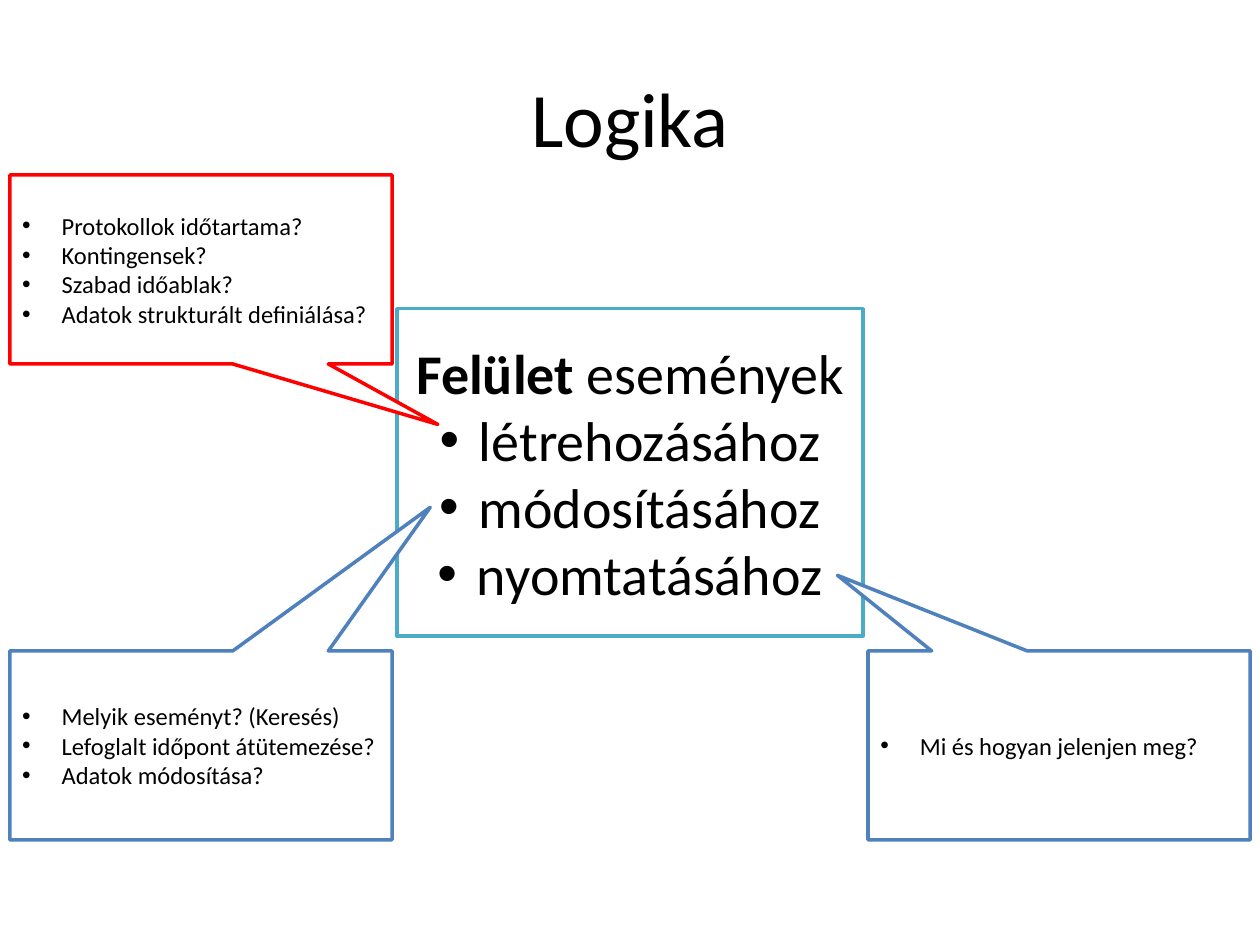
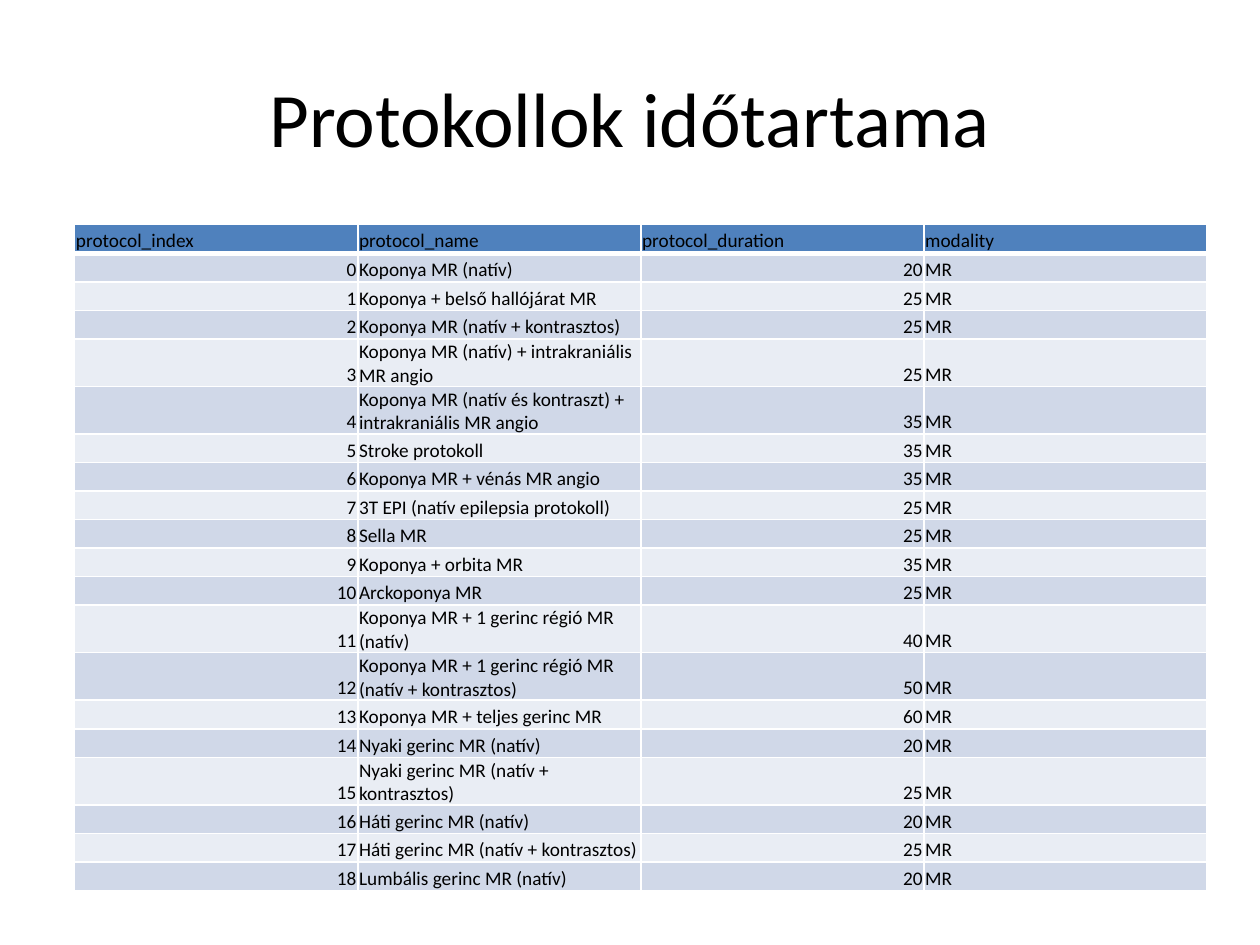
import pptx
import pptx.dml.color
import pptx.enum.shapes
import pptx.enum.text
import pptx.oxml.ns
import pptx.util
from dataclasses import dataclass
from lxml import etree

Pt = pptx.util.Pt
ALIGN = pptx.enum.text.PP_ALIGN
ANCHOR = pptx.enum.text.MSO_ANCHOR
SHAPE = pptx.enum.shapes.MSO_SHAPE
qn = pptx.oxml.ns.qn


@dataclass(frozen=True)
class Theme:
    font: str = "Calibri"
    ink: str = "000000"
    paper: str = "FFFFFF"
    blue: str = "4F81BD"
    teal: str = "4BACC6"
    red: str = "FF0000"
    bands: tuple = ("D0D8E8", "E9EDF4")
    title_size: int = 44
    topic_size: int = 32
    question_size: int = 14
    table_size: int = 11
    outline: int = 2
    bullet_indent: float = 22.5


THEME = Theme()

CALLOUT_WIDTH, CALLOUT_HEIGHT = 218.4, 108
LEFT_X, RIGHT_X = 5.6, 496
UPPER_Y, LOWER_Y = 100, 372

# outline colour, left, top, pointer offset, questions
CALLOUTS = [
    (THEME.red, LEFT_X, UPPER_Y, (0.62, 0.82),
     ["Protokollok időtartama?", "Kontingensek?", "Szabad időablak?",
      "Adatok strukturált definiálása?"]),
    (THEME.blue, LEFT_X, LOWER_Y, (0.6, -1.26),
     ["Melyik eseményt? (Keresés)", "Lefoglalt időpont átütemezése?",
      "Adatok módosítása?"]),
    (THEME.blue, RIGHT_X, LOWER_Y, (-0.58, -0.9),
     ["Mi és hogyan jelenjen meg?"]),
]

HEADERS = ["protocol_index", "protocol_name", "protocol_duration", "modality"]
NUMERIC_COLUMNS = (0, 2)
MODALITY = "MR"
PROTOCOLS = [
    ("Koponya MR (natív)", 20),
    ("Koponya + belső hallójárat MR", 25),
    ("Koponya MR (natív + kontrasztos)", 25),
    ("Koponya MR (natív) + intrakraniális MR angio", 25),
    ("Koponya MR (natív és kontraszt) + intrakraniális MR angio", 35),
    ("Stroke protokoll", 35),
    ("Koponya MR + vénás MR angio", 35),
    ("3T EPI (natív epilepsia protokoll)", 25),
    ("Sella MR", 25),
    ("Koponya + orbita MR", 35),
    ("Arckoponya MR", 25),
    ("Koponya MR + 1 gerinc régió MR (natív)", 40),
    ("Koponya MR + 1 gerinc régió MR (natív + kontrasztos)", 50),
    ("Koponya MR + teljes gerinc MR", 60),
    ("Nyaki gerinc MR (natív)", 20),
    ("Nyaki gerinc MR (natív + kontrasztos)", 25),
    ("Háti gerinc MR (natív)", 20),
    ("Háti gerinc MR (natív + kontrasztos)", 25),
    ("Lumbális gerinc MR (natív)", 20),
]


def rgb(value):
    return pptx.dml.color.RGBColor.from_string(value)


def format_paragraph(paragraph, size, align):
    paragraph.alignment = align
    for run in paragraph.runs:
        run.font.name = THEME.font
        run.font.size = Pt(size)
        run.font.bold = False
        run.font.color.rgb = rgb(THEME.ink)


def add_bullet(paragraph):
    properties = paragraph._p.get_or_add_pPr()
    properties.set("marL", str(Pt(THEME.bullet_indent)))
    properties.set("indent", str(-Pt(THEME.bullet_indent)))
    etree.SubElement(properties, qn("a:buFont"), typeface="Arial")
    etree.SubElement(properties, qn("a:buChar"), char="•")


def write_lines(frame, lines, size, align):
    frame.word_wrap = True
    frame.vertical_anchor = ANCHOR.MIDDLE
    frame.text = "\n".join(lines)
    for paragraph in frame.paragraphs:
        format_paragraph(paragraph, size, align)


def add_title(slide, title):
    box = slide.shapes.add_textbox(Pt(36), Pt(21.6), Pt(648), Pt(90))
    write_lines(box.text_frame, [title], THEME.title_size, ALIGN.CENTER)


def add_outlined(slide, kind, left, top, width, height, outline):
    """Add a paper-filled shape with a coloured outline."""
    shape = slide.shapes.add_shape(kind, Pt(left), Pt(top), Pt(width), Pt(height))
    shape.shadow.inherit = False
    shape.fill.solid()
    shape.fill.fore_color.rgb = rgb(THEME.paper)
    shape.line.color.rgb = rgb(outline)
    shape.line.width = Pt(THEME.outline)
    return shape


def add_topic(slide, subject, rest, purposes):
    """Add the central box: a heading with a bold subject, then bullets."""
    topic = add_outlined(slide, SHAPE.RECTANGLE, 226.8, 176.4, 266.4, 187.2, THEME.teal)
    frame = topic.text_frame
    write_lines(frame, [subject, *purposes], THEME.topic_size, ALIGN.CENTER)
    heading, *bullets = frame.paragraphs
    heading.add_run().text = rest
    format_paragraph(heading, THEME.topic_size, ALIGN.CENTER)
    heading.runs[0].font.bold = True
    for paragraph in bullets:
        add_bullet(paragraph)


def add_callout(slide, outline, left, top, pointer, questions):
    callout = add_outlined(slide, SHAPE.RECTANGULAR_CALLOUT, left, top,
                           CALLOUT_WIDTH, CALLOUT_HEIGHT, outline)
    for index, offset in enumerate(pointer):
        callout.adjustments[index] = offset
    write_lines(callout.text_frame, questions, THEME.question_size, ALIGN.LEFT)
    for paragraph in callout.text_frame.paragraphs:
        add_bullet(paragraph)


def set_borders(cell, top, bottom):
    properties = cell._tc.get_or_add_tcPr()
    for side, width in (("lnL", 1), ("lnR", 1), ("lnT", top), ("lnB", bottom)):
        line = etree.SubElement(properties, qn(f"a:{side}"), w=str(Pt(width)))
        fill = etree.SubElement(line, qn("a:solidFill"))
        etree.SubElement(fill, qn("a:srgbClr"), val=THEME.paper)


def fill_cell(cell, value, color, align, top, bottom):
    set_borders(cell, top, bottom)
    cell.fill.solid()
    cell.fill.fore_color.rgb = rgb(color)
    cell.margin_left = cell.margin_right = cell.margin_top = Pt(0.75)
    cell.margin_bottom = Pt(0)
    cell.vertical_anchor = ANCHOR.BOTTOM
    cell.text_frame.text = str(value)
    format_paragraph(cell.text_frame.paragraphs[0], THEME.table_size, align)


def add_protocol_table(slide):
    rows = [HEADERS] + [(index, name, duration, MODALITY)
                        for index, (name, duration) in enumerate(PROTOCOLS)]
    row_height = 16.3
    table = slide.shapes.add_table(len(rows), len(HEADERS), Pt(42.7), Pt(128.4),
                                   Pt(647), Pt(row_height * len(rows))).table
    for row in table.rows:
        row.height = Pt(row_height)
    for r, values in enumerate(rows):
        color = THEME.bands[(r - 1) % 2] if r else THEME.blue
        top, bottom = 3 if r == 1 else 1, 1 if r else 3
        for c, value in enumerate(values):
            align = ALIGN.RIGHT if r and c in NUMERIC_COLUMNS else ALIGN.LEFT
            fill_cell(table.cell(r, c), value, color, align, top, bottom)


def add_titled_slide(deck, title):
    slide = deck.slides.add_slide(deck.slide_layouts[6])
    add_title(slide, title)
    return slide


def main():
    deck = pptx.Presentation()
    deck.slide_width, deck.slide_height = Pt(720), Pt(540)

    logic = add_titled_slide(deck, "Logika")
    add_topic(logic, "Felület", " események",
              ["létrehozásához", "módosításához", "nyomtatásához"])
    for callout in CALLOUTS:
        add_callout(logic, *callout)

    durations = add_titled_slide(deck, "Protokollok időtartama")
    add_protocol_table(durations)

    deck.save("out.pptx")


if __name__ == "__main__":
    main()
